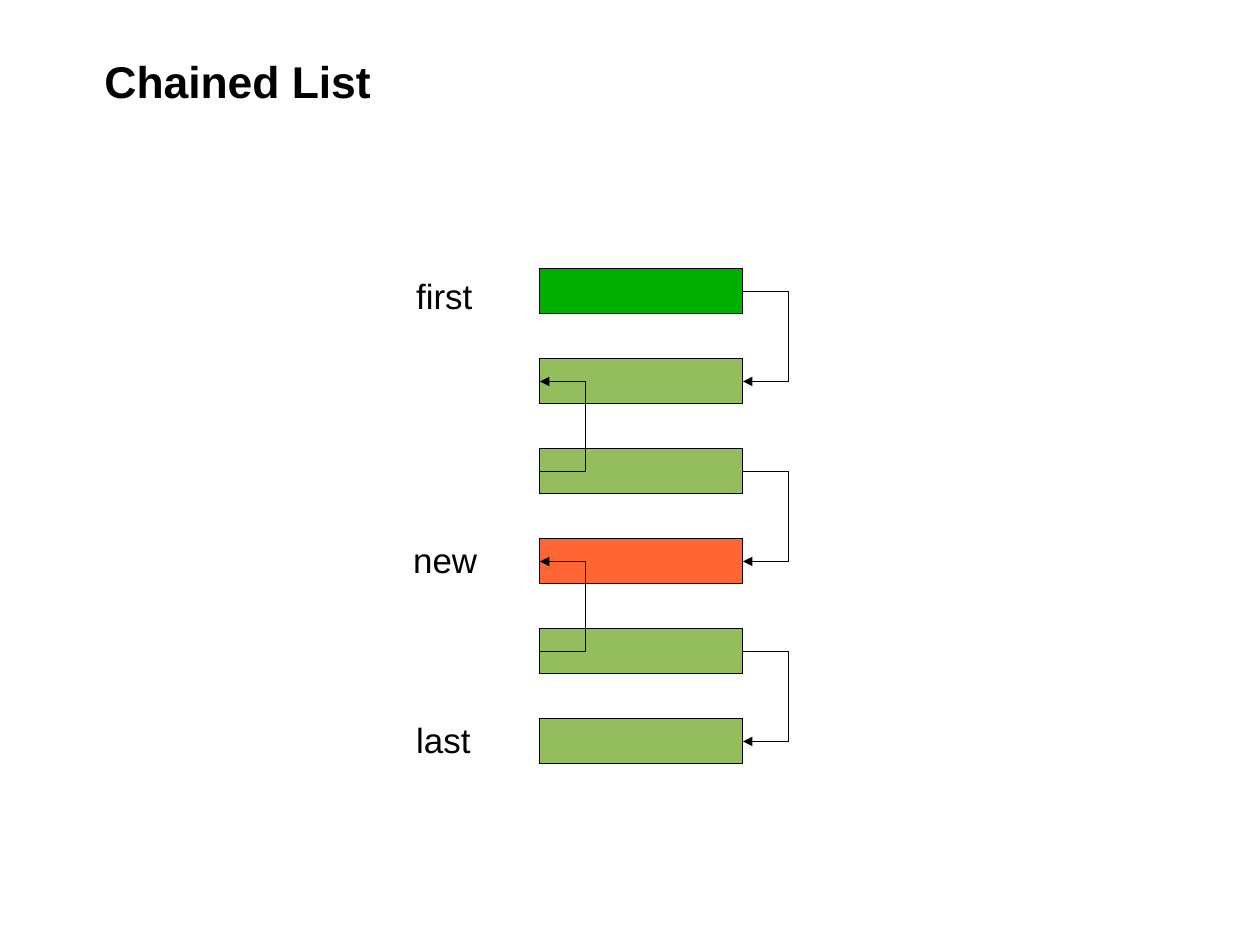
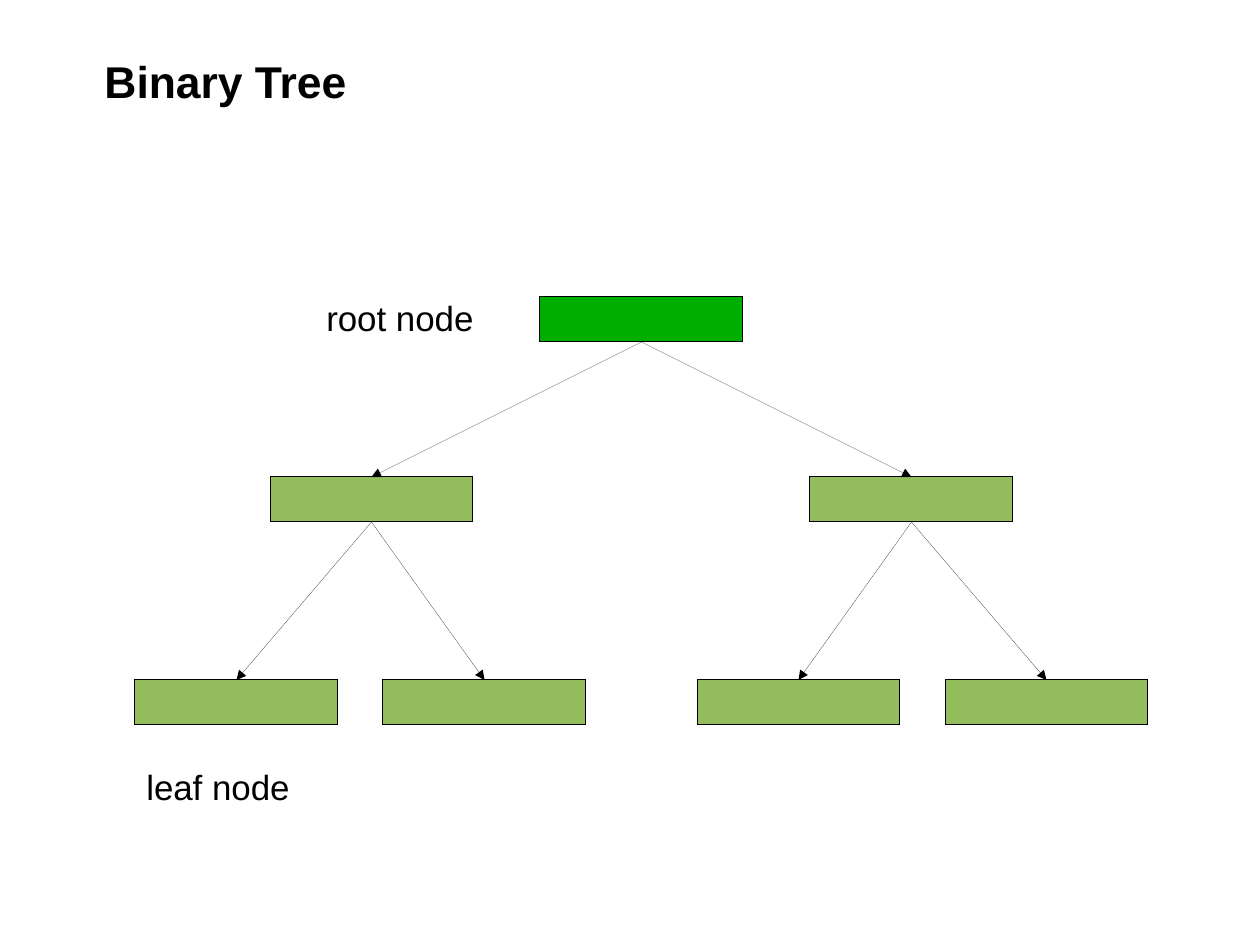
from lxml.etree import SubElement
from pptx import Presentation
from pptx.dml.color import RGBColor
from pptx.enum.shapes import MSO_CONNECTOR, MSO_SHAPE
from pptx.enum.text import MSO_ANCHOR, MSO_AUTO_SIZE, PP_ALIGN
from pptx.oxml.ns import qn
from pptx.util import Emu, Pt

SCALE = 8000
FONT = "Arial"
BLACK = RGBColor(0x00, 0x00, 0x00)
HEAD_GREEN = RGBColor(0x00, 0xAE, 0x00)
NODE_GREEN = RGBColor(0x94, 0xBD, 0x5E)
NEW_ORANGE = RGBColor(0xFF, 0x66, 0x33)

HAIRLINE = Emu(1)
LINK_WIDTH = Emu(360)
LINK_BEND = 501 * 100000
HALF_TURN = 180 * 60000
NODE_WIDTH, NODE_HEIGHT = 203, 45
LABEL_HEIGHT = 50
TOP, BOTTOM = 0, 2


def px(*lengths):
    return [length * SCALE for length in lengths]


def write(frame, text, size, bold=False):
    frame.text = text
    frame.auto_size = MSO_AUTO_SIZE.NONE
    frame.vertical_anchor = MSO_ANCHOR.TOP
    para = frame.paragraphs[0]
    para.alignment = PP_ALIGN.LEFT
    font = para.runs[0].font
    font.name, font.size, font.bold = FONT, Pt(size), bold
    font.color.rgb = BLACK


def add_titled_page(deck, title):
    page = deck.slides.add_slide(deck.slide_layouts[5])
    box = page.shapes.title
    box.left, box.top, box.width, box.height = px(93, 48, 1072, 61)
    write(box.text_frame, title, 28, bold=True)
    return page


def add_label(page, text, left, top, width):
    box = page.shapes.add_textbox(*px(left, top, width, LABEL_HEIGHT))
    box.text_frame.word_wrap = True
    write(box.text_frame, text, 22)


def add_node(page, left, top, color):
    node = page.shapes.add_shape(
        MSO_SHAPE.RECTANGLE, *px(left, top, NODE_WIDTH, NODE_HEIGHT))
    node.shadow.inherit = False
    node.fill.solid()
    node.fill.fore_color.rgb = color
    node.line.color.rgb = BLACK
    node.line.width = HAIRLINE
    return node


def add_arrow(page, kind, start, end):
    arrow = page.shapes.add_connector(kind, *start, *end)
    arrow.line.color.rgb = BLACK
    arrow.line.width = HAIRLINE
    SubElement(arrow.line._get_or_add_ln(), qn("a:tailEnd"), type="triangle")
    SubElement(arrow._element.spPr, qn("a:effectLst"))
    return arrow


def add_side_link(page, upper, lower, upward):
    edge = upper.left + (0 if upward else upper.width)
    start_y, end_y = (node.top + node.height // 2 for node in (upper, lower))
    link = add_arrow(page, MSO_CONNECTOR.ELBOW,
                     (edge, start_y), (edge + LINK_WIDTH, end_y))
    bend = LINK_BEND
    if upward:
        link._element.spPr.find(qn("a:xfrm")).set("rot", str(HALF_TURN))
        bend = -LINK_BEND
    guides = link._element.spPr.find(qn("a:prstGeom")).find(qn("a:avLst"))
    SubElement(guides, qn("a:gd"), name="adj1", fmla=f"val {bend}")


def add_tree_link(page, parent, child):
    start = parent.left + parent.width // 2, parent.top + parent.height
    end = child.left + child.width // 2, child.top
    link = add_arrow(page, MSO_CONNECTOR.STRAIGHT, start, end)
    link.begin_connect(parent, BOTTOM)
    link.end_connect(child, TOP)


def draw_chain(page, left, top):
    colors = [HEAD_GREEN, NODE_GREEN, NODE_GREEN, NEW_ORANGE, NODE_GREEN, NODE_GREEN]
    nodes = [add_node(page, left, top + index * 2 * NODE_HEIGHT, color)
             for index, color in enumerate(colors)]
    for index, (upper, lower) in enumerate(zip(nodes, nodes[1:])):
        add_side_link(page, upper, lower, upward=index % 2 == 1)
    for text, shift, drop in [("first", -135, 0), ("new", -138, 264), ("last", -135, 444)]:
        add_label(page, text, left + shift, top + drop, 115)


def draw_tree(page, left, top):
    levels = [(0, [405]), (180, [135, 675]), (383, [0, 248, 562, 810])]
    nodes = [add_node(page, left + shift, top + drop, NODE_GREEN if drop else HEAD_GREEN)
             for drop, shifts in levels for shift in shifts]
    for index, child in enumerate(nodes[1:]):
        add_tree_link(page, nodes[index // 2], child)
    add_label(page, "root node", left + 180, top - 6, 183)
    add_label(page, "leaf node", left, top + 463, NODE_WIDTH)


def main():
    deck = Presentation()
    deck.slide_width, deck.slide_height = px(1260, 945)
    draw_chain(add_titled_page(deck, "Chained List"), 540, 269)
    draw_tree(add_titled_page(deck, "Binary Tree"), 135, 297)
    deck.save("out.pptx")


if __name__ == "__main__":
    main()
